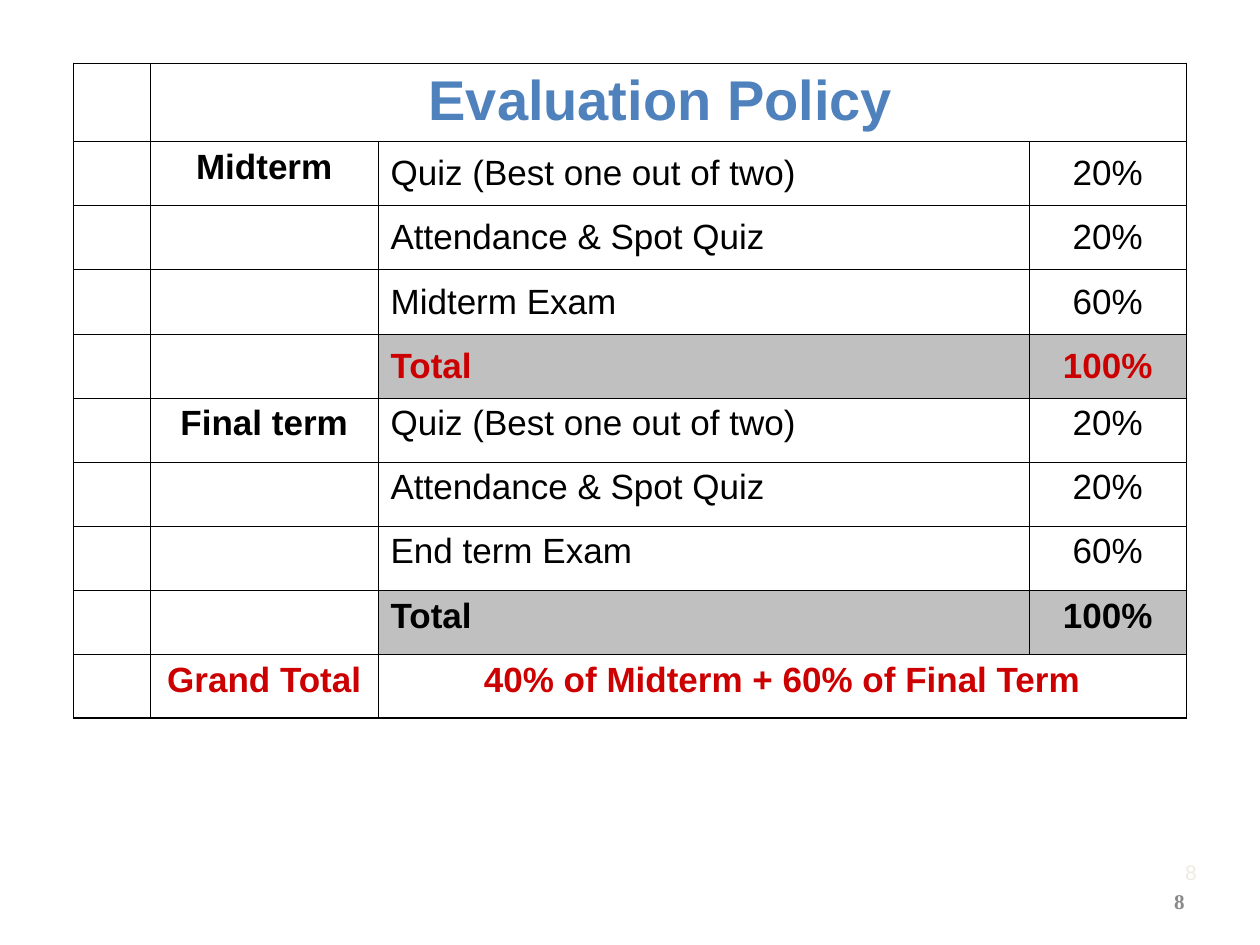
from lxml import etree
from pptx import Presentation
from pptx.dml.color import RGBColor
from pptx.enum.text import MSO_ANCHOR, PP_ALIGN
from pptx.oxml.ns import qn
from pptx.util import Pt

LEFT, CENTER, RIGHT = PP_ALIGN.LEFT, PP_ALIGN.CENTER, PP_ALIGN.RIGHT
TOP, MIDDLE = MSO_ANCHOR.TOP, MSO_ANCHOR.MIDDLE
BLACK, RED, BLUE, GRAY = "000000", "CC0000", "4F81BD", "C0C0C0"
THIN, THICK = 0.45, 0.96


def style_text(frame, size, color, bold, align, font="Arial"):
    paragraph = frame.paragraphs[0]
    paragraph.alignment = align
    for run in paragraph.runs:
        run.font.name = font
        run.font.size = Pt(size)
        run.font.bold = bold
        run.font.color.rgb = RGBColor.from_string(color)


def draw_border(cell, side, width):
    """Draw one side (L, R, T or B) of a cell in black."""
    line = etree.SubElement(cell._tc.get_or_add_tcPr(), qn(f"a:ln{side}"), w=str(Pt(width)))
    fill = etree.SubElement(line, qn("a:solidFill"))
    etree.SubElement(fill, qn("a:srgbClr"), val=BLACK)


prs = Presentation()
prs.slide_width, prs.slide_height = Pt(720), Pt(540)
slide = prs.slides.add_slide(prs.slide_layouts[6])

policy_rows = [
    ["", "Evaluation Policy ", "", ""],
    ["", "Midterm", "Quiz (Best one out of two)", "20%"],
    ["", "", "Attendance & Spot Quiz", "20%"],
    ["", "", "Midterm Exam", "60%"],
    ["", "", "Total", "100%"],
    ["", "Final term", "Quiz (Best one out of two)", "20%"],
    ["", "", "Attendance & Spot Quiz", "20%"],
    ["", "", "End term Exam", "60%"],
    ["", "", "Total", "100%"],
    ["", "Grand Total", "40% of Midterm + 60% of Final Term", ""],
]
column_widths = [44, 130, 372, 90]
row_heights = [45] + [36.6] * 9
MIDTERM_TOTAL, FINAL_TOTAL, GRAND_TOTAL = 4, 8, 9

policy = slide.shapes.add_table(
    len(row_heights), len(column_widths), Pt(42), Pt(36),
    Pt(sum(column_widths)), Pt(sum(row_heights))).table
policy.first_row = policy.horz_banding = False
for column, width in zip(policy.columns, column_widths):
    column.width = Pt(width)
for row, height in zip(policy.rows, row_heights):
    row.height = Pt(height)
policy.cell(0, 1).merge(policy.cell(0, 3))
policy.cell(GRAND_TOTAL, 2).merge(policy.cell(GRAND_TOTAL, 3))

for r, texts in enumerate(policy_rows):
    for c, text in enumerate(texts):
        cell = policy.cell(r, c)
        draw_border(cell, "L", THICK if c == 0 else THIN)
        draw_border(cell, "R", THICK if c == 3 or (r == 0 and c > 0) else THIN)
        draw_border(cell, "T", THICK if r == 1 else THIN)
        draw_border(cell, "B", THICK if r in (0, GRAND_TOTAL) else THIN)

        is_total = r in (MIDTERM_TOTAL, FINAL_TOTAL) and c >= 2
        if is_total:
            cell.fill.solid()
            cell.fill.fore_color.rgb = RGBColor.from_string(GRAY)
        else:
            cell.fill.background()
        if not text:
            continue

        cell.text_frame.text = text
        cell.vertical_anchor = MIDDLE if 1 <= r <= MIDTERM_TOTAL and c >= 2 else TOP
        properties = cell.text_frame.paragraphs[0]._p.get_or_add_pPr()
        properties.set("marL", str(Pt(27)))
        properties.set("indent", str(Pt(-27)))
        is_red = r == GRAND_TOTAL or (r == MIDTERM_TOTAL and is_total)
        style_text(
            cell.text_frame,
            size=32 if r == 0 else 20,
            color=BLUE if r == 0 else RED if is_red else BLACK,
            bold=c == 1 or is_total or r == GRAND_TOTAL,
            align=LEFT if c == 2 and r != GRAND_TOTAL else CENTER)

page_numbers = [
    (523, 484, 12, "EEECE1", False, "Arial"),
    (516, 500.4, 12, "898989", True, "Times New Roman"),
]
for left, top, size, color, bold, font in page_numbers:
    number = slide.shapes.add_textbox(Pt(left), Pt(top), Pt(168), Pt(28.8)).text_frame
    number.word_wrap = True
    number.vertical_anchor = MIDDLE
    number.text = "8"
    style_text(number, size, color, bold, RIGHT, font)

prs.save("out.pptx")
